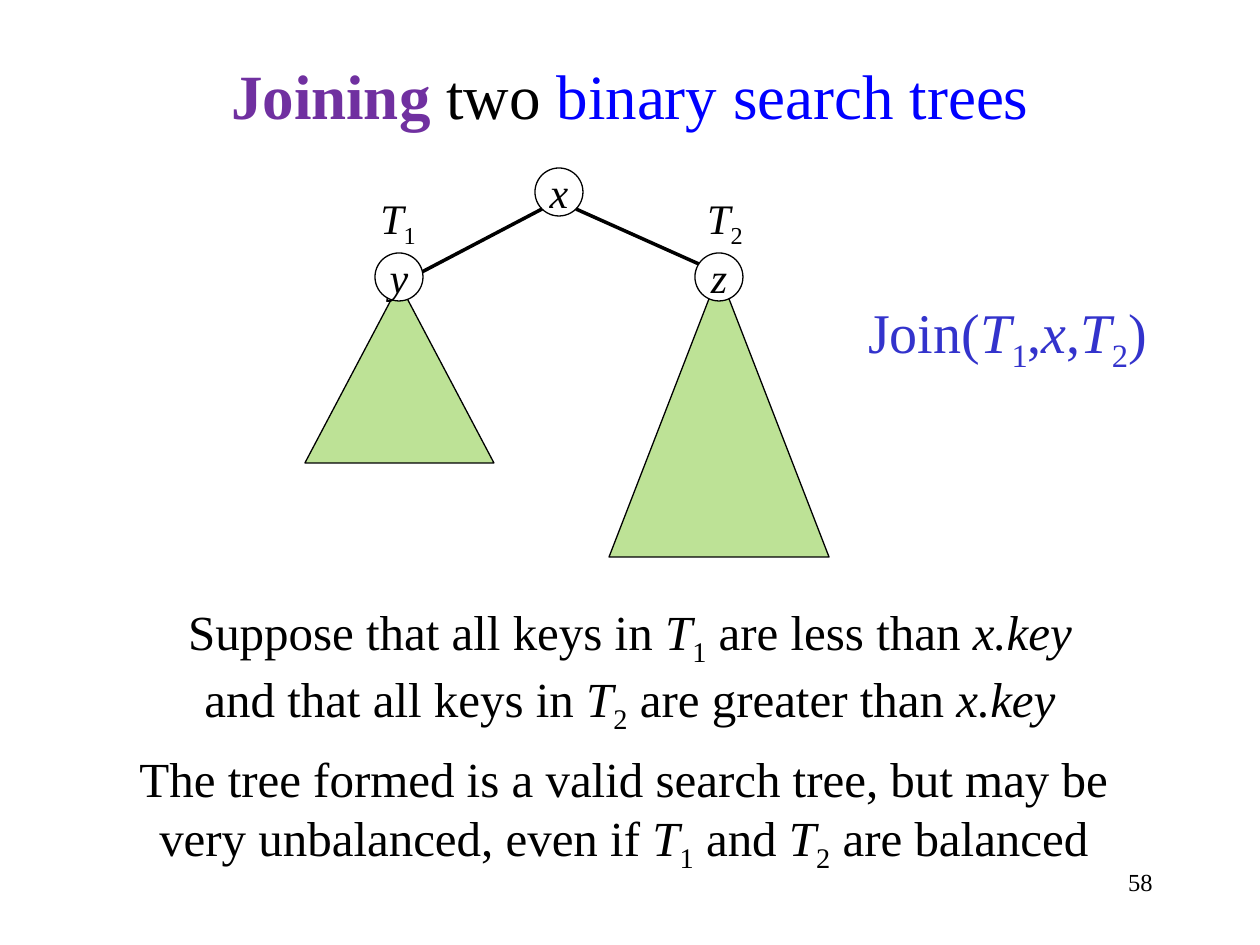
import pptx
import pptx.dml.color
import pptx.enum.shapes
import pptx.enum.text
import pptx.oxml.ns
import pptx.util
from lxml import etree

FONT = "Times New Roman"
COLORS = {"black": "000000", "white": "FFFFFF", "purple": "7030A0",
          "blue": "0000FF", "indigo": "3333CC", "green": "92D050"}

# Content: runs are (text, style)
T1 = [("T", "italic"), ("1", "sub")]
T2 = [("T", "italic"), ("2", "sub")]
KEY = ("x.key", "italic")
TITLE = [("Joining", "purple"), (" two ", ""), ("binary search trees", "blue")]
JOIN = [("Join(", ""), *T1, (",", ""), ("x", "italic"), (",", ""), *T2, (")", "")]
KEYS = [("Suppose that all keys in ", ""), *T1, (" are less than ", ""), KEY,
        ("\v", ""), ("and that all keys in ", ""), *T2,
        (" are greater than ", ""), KEY]
RESULT = [("The tree formed is a valid search tree, but may be ", ""), ("\v", ""),
          ("very unbalanced, even if ", ""), *T1, (" and ", ""), *T2,
          (" are balanced ", "")]

# Text boxes in px: runs, (left, top, width, height), size, colour, alignment
HEADING = (TITLE, (0, 42, 1260, 105), 36, "black", "CENTER")
PAGE_NUMBER = ([("58", "")], (903, 861, 262, 63), 14, "black", "RIGHT")
NOTES = [
    (KEYS, (0, 595, 1260, 131), 28, "black", "CENTER"),
    (T1, (368, 186, 84, 63), 24, "black", "LEFT"),
    (T2, (683, 186, 84, 63), 24, "black", "CENTER"),
    (RESULT, (0, 742, 1260, 131), 28, "black", "CENTER"),
    (JOIN, (850, 291, 315, 81), 32, "indigo", "CENTER"),
]

# Trees in px: root key, apex x, apex y, width, height, start of the edge from x
TREES = [("y", 399, 284, 189, 179, (542, 209)),
         ("z", 719, 273, 220, 284, (576, 209))]
ROOT = ("x", 559, 192)
NODE_Y = 277
NODE_SIZE = 48


def px(count):
    return round(count * 914400 / 126)


def color(name):
    return pptx.dml.color.RGBColor.from_string(COLORS[name])


def write(frame, runs, size, tint, align):
    para = frame.paragraphs[0]
    para.alignment = getattr(pptx.enum.text.PP_ALIGN, align)
    para.font.name = FONT
    para.font.size = pptx.util.Pt(size)
    para.font.color.rgb = color(tint)
    for text, style in runs:
        if text == "\v":
            para.add_line_break()
            continue
        span = para.add_run()
        span.text = text
        if style == "italic":
            span.font.italic = True
        elif style == "sub":
            span._r.get_or_add_rPr().set("baseline", "-25000")
        elif style:
            span.font.color.rgb = color(style)
            span.font.bold = style == "purple"
    return para


def add_text(page, runs, place, size, tint, align):
    box = page.shapes.add_textbox(*map(px, place))
    box.text_frame.word_wrap = True
    write(box.text_frame, runs, size, tint, align)
    return box


def add_note(page, *note):
    box = add_text(page, *note)
    box.text_frame.auto_size = pptx.enum.text.MSO_AUTO_SIZE.SHAPE_TO_FIT_TEXT
    # Space before as a share of the line
    properties = box.text_frame.paragraphs[0]._p.get_or_add_pPr()
    before = pptx.oxml.ns.qn("a:spcBef")
    spacing = etree.Element(before)
    etree.SubElement(spacing, pptx.oxml.ns.qn("a:spcPct"), val="50000")
    properties.insert(0, spacing)


def add_outlined(page, kind, left, top, width, height):
    preset = getattr(pptx.enum.shapes.MSO_SHAPE, kind)
    shape = page.shapes.add_shape(preset, *map(px, (left, top, width, height)))
    shape.shadow.inherit = False
    shape.line.color.rgb = color("black")
    shape.line.width = pptx.util.Pt(0.75)
    return shape


def add_node(page, key, x, y, filled=True):
    half = NODE_SIZE // 2
    node = add_outlined(page, "OVAL", x - half, y - half, NODE_SIZE, NODE_SIZE)
    if filled:
        node.fill.solid()
        node.fill.fore_color.rgb = color("white")
    else:
        node.fill.background()
    frame = node.text_frame
    frame.margin_left = frame.margin_right = frame.margin_top = frame.margin_bottom = 0
    frame.vertical_anchor = pptx.enum.text.MSO_ANCHOR.MIDDLE
    write(frame, [(key, "italic")], 24, "black", "CENTER")


def add_subtree(page, x, y, width, height):
    tree = add_outlined(page, "ISOSCELES_TRIANGLE", x - width // 2, y, width, height)
    tree.fill.solid()
    tree.fill.fore_color.rgb = color("green")
    tint = tree.fill._xPr.find(".//" + pptx.oxml.ns.qn("a:srgbClr"))
    etree.SubElement(tint, pptx.oxml.ns.qn("a:alpha"), val="60000")


def add_edge(page, start, end):
    edge = page.shapes.add_connector(pptx.enum.shapes.MSO_CONNECTOR.STRAIGHT,
                                     *map(px, (*start, *end)))
    edge.line.color.rgb = color("black")
    edge.line.width = pptx.util.Pt(2)
    etree.SubElement(edge._element.spPr, pptx.oxml.ns.qn("a:effectLst"))


def main():
    deck = pptx.Presentation()
    deck.slide_width, deck.slide_height = px(1260), px(945)
    page = deck.slides.add_slide(deck.slide_layouts[6])

    # Page number and title
    add_text(page, *PAGE_NUMBER)
    heading = add_text(page, *HEADING)
    heading.text_frame.vertical_anchor = pptx.enum.text.MSO_ANCHOR.MIDDLE

    # Subtrees, then the edges over them, then the nodes
    for key, x, y, width, height, start in TREES:
        add_subtree(page, x, y, width, height)
    add_node(page, *ROOT, filled=False)
    for key, x, y, width, height, start in TREES:
        add_edge(page, start, (x, y))
    for key, x, *rest in TREES:
        add_node(page, key, x, NODE_Y)

    # Labels and explanations
    for note in NOTES:
        add_note(page, *note)

    deck.save("out.pptx")


if __name__ == "__main__":
    main()
